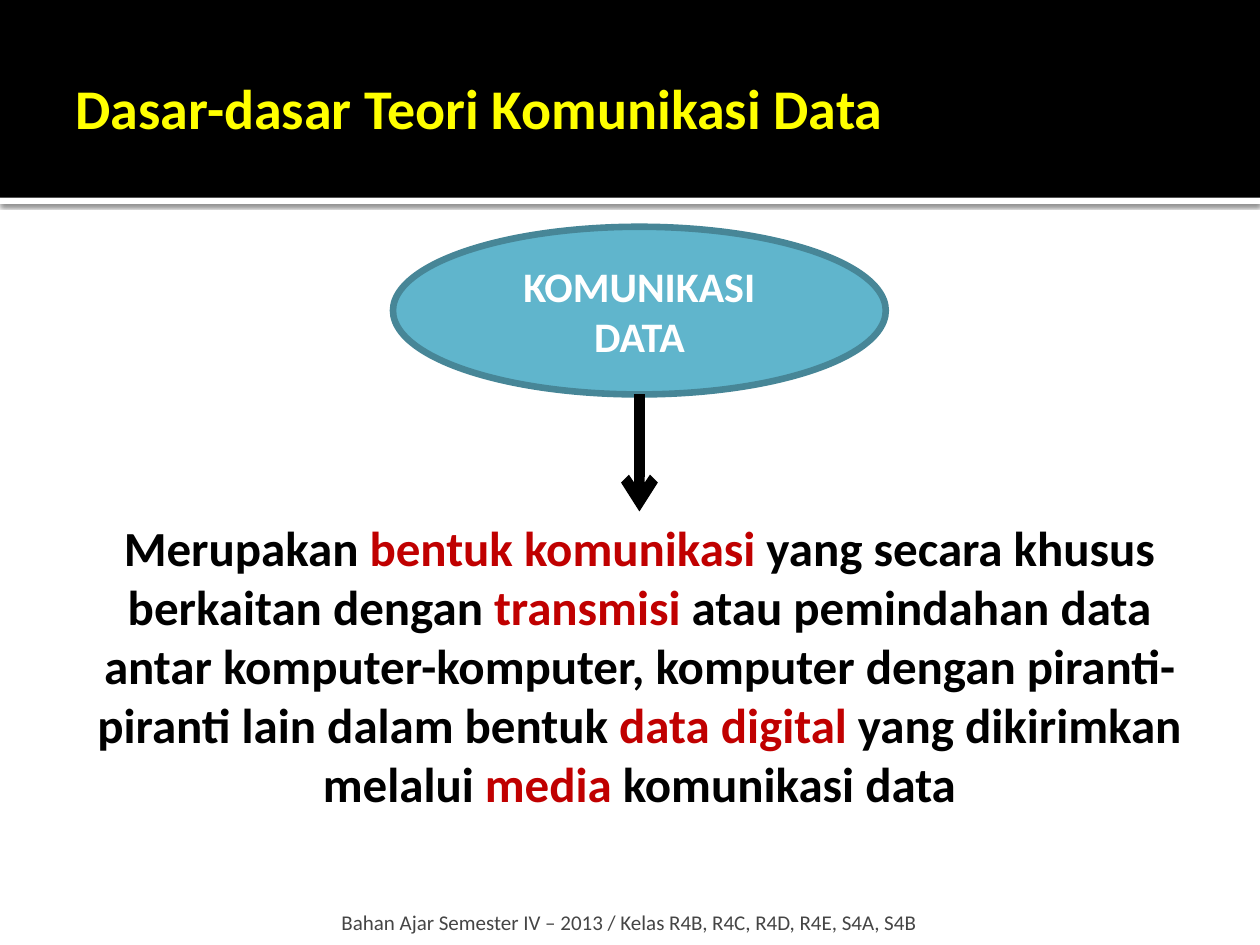
from lxml import etree
from pptx import Presentation
from pptx.dml.color import RGBColor
from pptx.enum import shapes, text
from pptx.oxml import ns
from pptx.util import Pt

BLACK, WHITE, RED = "000000", "FFFFFF", "C00000"


def colour(code):
    return RGBColor.from_string(code)


def add_xml(parent, tag, **attributes):
    return etree.SubElement(parent, ns.qn(tag), attributes)


class SlideBuilder:
    font = "Calibri"

    def __init__(self, slide):
        self.slide = slide

    def fill_text(self, frame, runs, size, bold=True, align=text.PP_ALIGN.LEFT,
                  anchor=text.MSO_ANCHOR.TOP, insets=(7.2, 3.6, 7.2, 3.6), before=0):
        frame.word_wrap = True
        frame.vertical_anchor = anchor
        (frame.margin_left, frame.margin_top,
         frame.margin_right, frame.margin_bottom) = map(Pt, insets)
        paragraph = frame.paragraphs[0]
        paragraph.alignment = align
        paragraph.space_before = Pt(before)
        for words, code in runs:
            run = paragraph.add_run()
            run.text = words
            run.font.name = self.font
            run.font.size = Pt(size)
            run.font.bold = bold
            run.font.color.rgb = colour(code)

    def text_box(self, box, runs, size, **style):
        label = self.slide.shapes.add_textbox(*map(Pt, box))
        self.fill_text(label.text_frame, runs, size, **style)

    def shape(self, kind, box, fill, line=None, width=1):
        figure = self.slide.shapes.add_shape(kind, *map(Pt, box))
        figure.shadow.inherit = False
        figure.fill.solid()
        figure.fill.fore_color.rgb = colour(fill)
        if line:
            figure.line.color.rgb = colour(line)
            figure.line.width = Pt(width)
        else:
            figure.line.fill.background()
        return figure

    def drop_shadow(self, figure, code, opacity, blur, distance, angle):
        effects = figure._element.spPr.find(ns.qn("a:effectLst"))
        shadow = add_xml(effects, "a:outerShdw", blurRad=str(Pt(blur)),
                         dist=str(Pt(distance)), dir=str(angle * 60000),
                         algn="tl", rotWithShape="0")
        tint = add_xml(shadow, "a:srgbClr", val=code)
        add_xml(tint, "a:alpha", val=str(opacity * 1000))

    def arrow(self, start, end, code, width):
        connector = self.slide.shapes.add_connector(
            shapes.MSO_CONNECTOR.STRAIGHT, *map(Pt, start + end))
        connector.line.color.rgb = colour(code)
        connector.line.width = Pt(width)
        outline = connector._element.spPr.find(ns.qn("a:ln"))
        add_xml(outline, "a:tailEnd", type="arrow")
        add_xml(connector._element.spPr, "a:effectLst")


def main():
    deck = Presentation()
    deck.slide_width, deck.slide_height = Pt(720), Pt(540)
    page = SlideBuilder(deck.slides.add_slide(deck.slide_layouts[6]))
    rectangle, oval = shapes.MSO_SHAPE.RECTANGLE, shapes.MSO_SHAPE.OVAL
    centre, middle = text.PP_ALIGN.CENTER, text.MSO_ANCHOR.MIDDLE

    header_rule = page.shape(rectangle, (0, 113, 720, 3.6), WHITE)
    page.drop_shadow(header_rule, BLACK, opacity=60, blur=2.5, distance=0.8, angle=90)
    page.shape(rectangle, (0, 0, 720, 113), BLACK)
    page.text_box((36, 12.2, 648, 98.6),
                  [("Dasar-dasar Teori Komunikasi Data", "FFFF00")], 32,
                  anchor=middle, insets=(7.2, 3.6, 3.6, 3.6))
    page.text_box((191.5, 505.4, 383.8, 28.8),
                  [("Bahan Ajar Semester IV – 2013 / Kelas R4B, R4C, R4D, R4E, S4A, S4B",
                    "454545")], 12, bold=False,
                  anchor=text.MSO_ANCHOR.BOTTOM, insets=(3.6, 3.6, 3.6, 0))

    definition = [
        ("Merupakan ", BLACK),
        ("bentuk komunikasi ", RED),
        ("yang secara khusus berkaitan dengan ", BLACK),
        ("transmisi ", RED),
        ("atau pemindahan data antar komputer-komputer, komputer dengan "
         "piranti-piranti lain dalam bentuk ", BLACK),
        ("data digital ", RED),
        ("yang dikirimkan melalui ", BLACK),
        ("media ", RED),
        ("komunikasi data", BLACK),
    ]
    page.text_box((44.6, 292.3, 641.5, 219.6), definition, 28, align=centre, before=5.6)

    topic = page.shape(oval, (224.6, 129.6, 281.6, 95.8), "60B5CC", "478697", 3.78)
    page.fill_text(topic.text_frame, [("KOMUNIKASI DATA", WHITE)], 24,
                   align=centre, anchor=middle)
    page.arrow((365.4, 225.4), (365.4, 292.3), BLACK, 6)

    deck.save("out.pptx")


if __name__ == "__main__":
    main()
